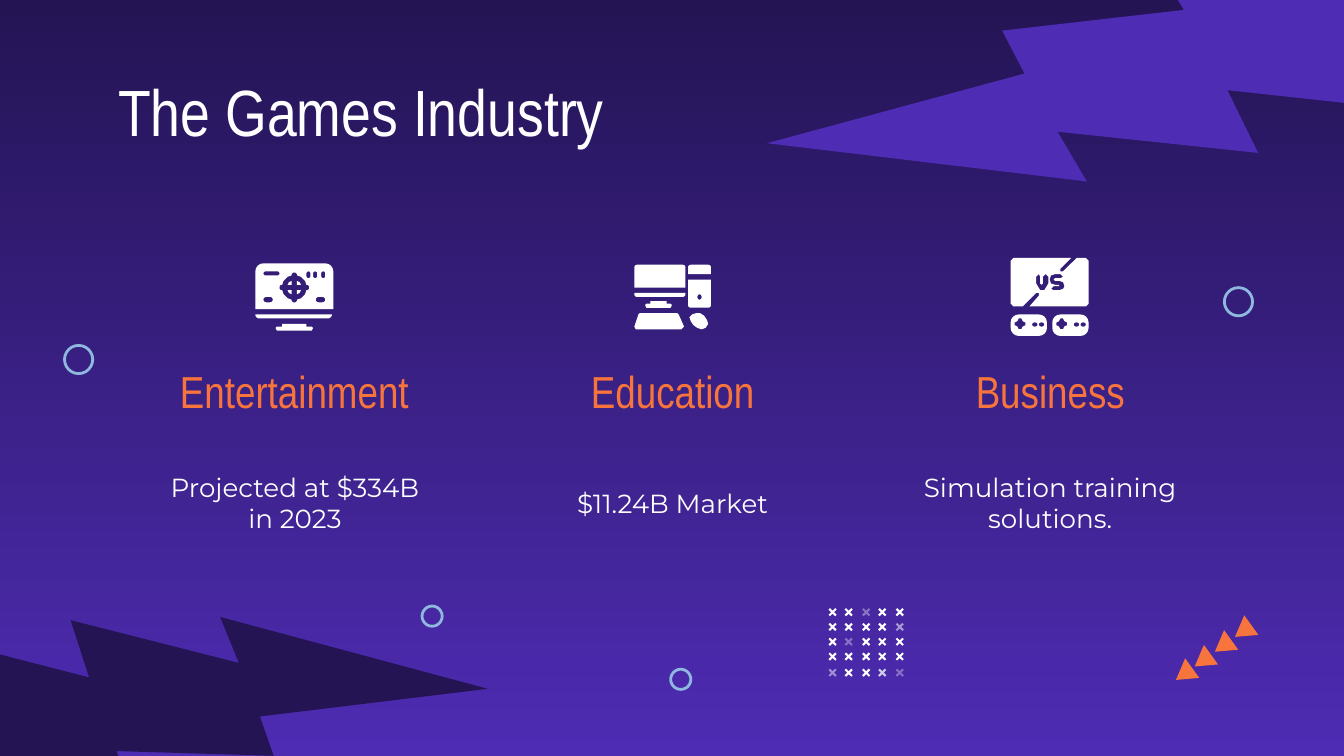
from math import cos, pi, sin
from typing import NamedTuple

from lxml.etree import SubElement
from pptx import Presentation
from pptx.dml.color import RGBColor
from pptx.enum.shapes import MSO_SHAPE as SHAPE
from pptx.enum.text import MSO_ANCHOR as ANCHOR, MSO_AUTO_SIZE as FIT, PP_ALIGN as ALIGN
from pptx.oxml.ns import qn
from pptx.util import Emu, Pt

PX = 9144  # 100 px to the inch
COLORS = {"night": "241454", "violet": "4E2CB3", "orange": "F7743C",
          "ring": "8EB8DE", "white": "FFFFFF"}
FRAME = {"word_wrap": True, "auto_size": FIT.NONE,
         "margin_left": 10 * PX, "margin_right": 10 * PX,
         "margin_top": 10 * PX, "margin_bottom": 10 * PX}
TITLE = {"name": "Arial Narrow", "size": Pt(35)}
HEADING = {"name": "Arial Narrow", "size": Pt(24)}
BODY = {"name": "Montserrat", "size": Pt(14)}

Points = list[tuple[float, float]]


class Box(NamedTuple):
    left: int
    top: int
    width: int
    height: int


class Topic(NamedTuple):
    center: int
    heading: str
    heading_width: int
    body: str


class Bolt(NamedTuple):
    box: Box
    angle: float
    color: str


def rgb(name: str) -> RGBColor:
    return RGBColor.from_string(COLORS[name])


def emu(box: Box) -> list[Emu]:
    return [Emu(v * PX) for v in box]


def assign(target, values: dict) -> None:
    for key, value in values.items():
        setattr(target, key, value)


# Text
def write(sp, text: str, font: dict, color: str, align, anchor) -> None:
    tf = sp.text_frame
    assign(tf, FRAME | {"vertical_anchor": anchor})
    p = tf.paragraphs[0]
    p.alignment = align
    r = p.add_run()
    r.text = text
    assign(r.font, font)
    r.font.color.rgb = rgb(color)


def add_label(slide, box: Box, text: str, font: dict, color: str) -> None:
    write(slide.shapes.add_textbox(*emu(box)), text, font, color, ALIGN.CENTER, ANCHOR.MIDDLE)


# Preset shapes
def add_solid(slide, kind, box: Box, color: str, angle: float = 0, alpha: int = 100):
    sp = slide.shapes.add_shape(kind, *emu(box))
    sp.shadow.inherit = False
    sp.rotation = angle
    sp.fill.solid()
    sp.fill.fore_color.rgb = rgb(color)
    sp.line.fill.background()
    if alpha < 100:
        clr = sp._element.spPr.find(qn("a:solidFill")).find(qn("a:srgbClr"))
        SubElement(clr, qn("a:alpha")).set("val", str(alpha * 1000))
    return sp


def add_bolt(slide, bolt: Bolt) -> None:
    sp = add_solid(slide, SHAPE.LIGHTNING_BOLT, bolt.box, bolt.color, bolt.angle)
    sp._element.spPr.find(qn("a:xfrm")).set("flipH", "1")


def add_ring(slide, left: int, top: int, size: int) -> None:
    sp = slide.shapes.add_shape(SHAPE.OVAL, *emu(Box(left, top, size, size)))
    sp.shadow.inherit = False
    sp.fill.background()
    sp.line.color.rgb = rgb("ring")
    sp.line.width = Pt(1.5)


# Icon outlines
def rounded(x: int, y: int, w: int, h: int, top: float = 0, bottom: float = 0) -> Points:
    corners = [(x + w - top, y + top, top, -pi / 2), (x + w - bottom, y + h - bottom, bottom, 0),
               (x + bottom, y + h - bottom, bottom, pi / 2), (x + top, y + top, top, pi)]
    return [(cx + r * cos(a + k * pi / 8), cy + r * sin(a + k * pi / 8))
            for cx, cy, r, a in corners for k in range(5)]


def pill(x: int, y: int, w: int, h: int) -> Points:
    return rounded(x, y, w, h, min(w, h) / 2, min(w, h) / 2)


def turns(cx: int, cy: int, quarter: Points) -> list[Points]:
    """The quarter outline in each of its four right-angle turns."""
    result = []
    for _ in range(4):
        result.append([(cx + x, cy + y) for x, y in quarter])
        quarter = [(-y, x) for x, y in quarter]
    return result


def star(cx: int, cy: int, quarter: Points) -> Points:
    return sum(turns(cx, cy, quarter), [])


def stand(cx: int, y: int, neck: int, foot: int) -> Points:
    half = [(neck, y), (neck, y + 2), (foot - 1, y + 2), (foot, y + 3), (foot - 1, y + 5)]
    return [(cx + dx, dy) for dx, dy in half] + [(cx - dx, dy) for dx, dy in reversed(half)]


def gamepad(x: int) -> list[Points]:
    return [rounded(x, 234, 27, 16, 6, 6), pill(x + 16, 240, 4, 3), pill(x + 21, 240, 4, 3),
            star(x + 7, 241, [(-1, -4), (1, -4), (2, -2)])]


def add_part(slide, contours: list[Points]) -> None:
    """One filled outline; contours after the first are holes."""
    first, *holes = [[(x * PX, y * PX) for x, y in c] for c in contours]
    fb = slide.shapes.build_freeform(*first[0])
    fb.add_line_segments(first[1:])
    for hole in holes:
        fb.move_to(*hole[0])
        fb.add_line_segments(hole[1:])
    sp = fb.convert_to_shape()
    sp.shadow.inherit = False
    sp.fill.solid()
    sp.fill.fore_color.rgb = rgb("white")
    sp.line.fill.background()


SIGHT = [(-1, -11), (1, -11), (2, -10), (2, -9), (5, -8), (8, -5), (9, -2), (10, -2)]
MONITOR = [
    [rounded(190, 196, 58, 34, 6), pill(196, 202, 12, 3), pill(196, 221, 7, 4),
     pill(235, 221, 7, 4), *[pill(x, 202, 3, 5) for x in (228, 233, 239)], star(219, 214, SIGHT)],
    *[[wedge] for wedge in turns(219, 214, [(2, -5), (2, -2), (5, -2), (4, -4)])],
    [rounded(190, 234, 57, 3, 0, 3)],
    [stand(219, 241, 9, 14)]]
COMPUTER = [
    [rounded(472, 197, 38, 17, 2)], [rounded(472, 218, 38, 3, 0, 2)], [stand(490, 224, 6, 10)],
    [rounded(512, 197, 17, 7, 2)], [rounded(512, 208, 17, 21, 0, 2), pill(519, 219, 3, 4)],
    [[(476, 233), (504, 233), (505, 234), (509, 243), (507, 245),
      (473, 245), (472, 243), (475, 234)]],
    [[(518, 233), (515, 234), (513, 236), (514, 239), (516, 242), (519, 244),
      (522, 245), (525, 244), (527, 241), (526, 238), (524, 235), (521, 233)]]]
LETTER_V = [(778, 204), (780, 206), (780, 211), (777, 216), (774, 216), (771, 211), (771, 206),
            (773, 204), (774, 206), (774, 211), (775, 212), (776, 211), (776, 206)]
LETTER_S = [(789, 204), (791, 206), (789, 207), (785, 207), (784, 208), (785, 209), (788, 209),
            (791, 210), (792, 213), (791, 215), (788, 216), (784, 216), (782, 215), (784, 213),
            (788, 213), (788, 212), (785, 212), (782, 211), (781, 208), (782, 205), (785, 204)]
VERSUS = [
    [[(754, 192), (752, 194), (752, 226), (754, 228), (761, 228), (771, 218), (773, 218),
      (773, 220), (766, 228), (808, 228), (810, 226), (810, 194), (808, 192), (801, 192),
      (791, 202), (789, 202), (789, 200), (797, 192)], LETTER_V, LETTER_S],
    gamepad(752), gamepad(783)]

BOLTS = [Bolt(Box(648, -126, 387, 387), 36.8, "violet"),
         Bolt(Box(-39, 346, 333, 333), 225, "night")]
TOPICS = [Topic(219, "Entertainment", 238, "Projected at $334B in 2023"),
          Topic(500, "Education", 213, "$11.24B Market"),
          Topic(781, "Business", 213, "Simulation training solutions.")]
RINGS = [(314, 451, 15), (911, 214, 21), (48, 257, 21), (499, 498, 15)]
FADED = {(0, 2): 36, (1, 4): 53, (2, 1): 34, (4, 0): 48, (4, 3): 75, (4, 4): 33}


def main() -> None:
    prs = Presentation()
    prs.slide_width, prs.slide_height = Emu(1000 * PX), Emu(5143500)
    slide = prs.slides.add_slide(prs.slide_layouts[5])

    # Background
    fill = slide.background.fill
    fill.gradient()
    fill.gradient_angle = 270
    for stop, color in zip(fill.gradient_stops, ("night", "violet")):
        stop.color.rgb = rgb(color)
    for bolt in BOLTS:
        add_bolt(slide, bolt)

    # Title and topics
    title = slide.shapes.title
    assign(title, dict(zip(("left", "top", "width", "height"), emu(Box(78, 43, 843, 64)))))
    write(title, "The Games Industry", TITLE, "white", ALIGN.LEFT, ANCHOR.TOP)
    for t in TOPICS:
        heading = Box(t.center - t.heading_width // 2, 260, t.heading_width, 61)
        add_label(slide, heading, t.heading, HEADING, "orange")
        add_label(slide, Box(t.center - 110, 322, 221, 104), t.body, BODY, "white")
    for part in MONITOR + COMPUTER + VERSUS:
        add_part(slide, part)

    # Decoration
    for i in range(4):
        spot = Box(872 + 44 * i // 3, 494 - 32 * i // 3, 18, 15)
        add_solid(slide, SHAPE.ISOSCELES_TRIANGLE, spot, "orange", 234.2)
    for ring in RINGS:
        add_ring(slide, *ring)
    for row in range(5):
        for col in range(5):
            spot = Box(616 + 25 * col // 2, 452 + 45 * row // 4, 7, 7)
            sp = add_solid(slide, SHAPE.CROSS, spot, "white", 315, FADED.get((row, col), 100))
            sp.adjustments[0] = 0.39
    prs.save("out.pptx")


if __name__ == "__main__":
    main()
